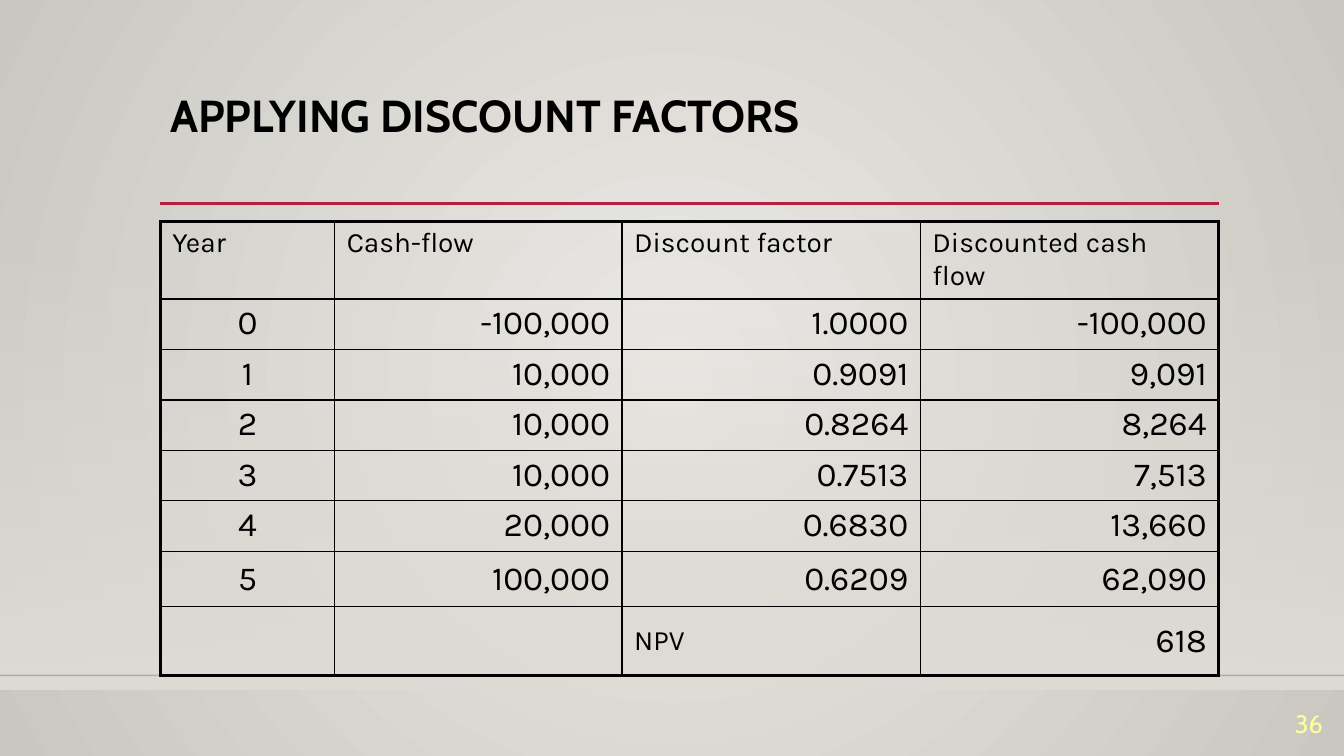
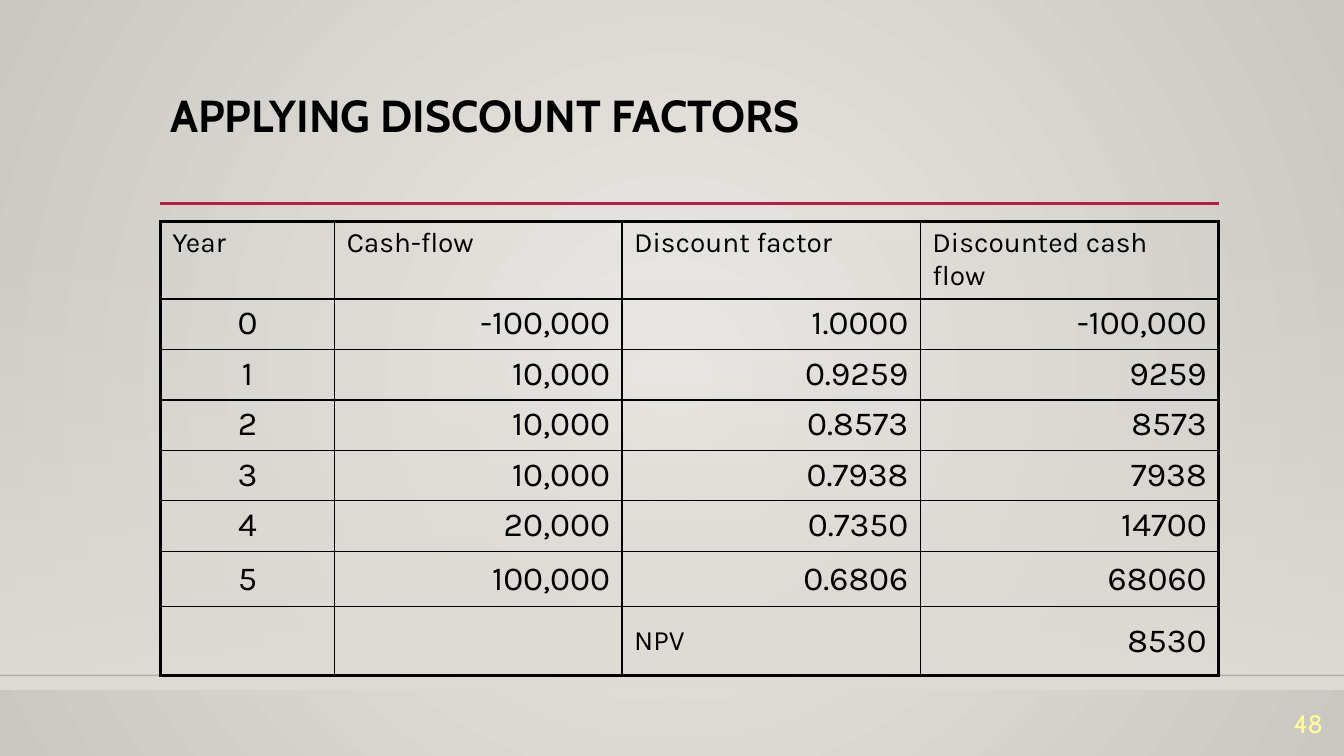
from lxml.etree import SubElement
from pptx import Presentation
from pptx.dml.color import RGBColor
from pptx.enum.shapes import MSO_CONNECTOR, MSO_SHAPE
from pptx.enum.text import MSO_ANCHOR, PP_ALIGN
from pptx.oxml.ns import qn
from pptx.util import Inches, Pt

BLACK = "000000"
SAND = "DFDBD5"
CRIMSON = "B71E42"
PALE_YELLOW = "FFFF99"
BACKDROP = ("ECEAE7", "CAC7C1")
TITLE_FONT, TABLE_FONT = "Cabin", "Karla"
THIN, THICK = 1, 2.25

LEFT_MARGIN = 11.93
COLUMN_WIDTHS = (12.98, 21.38, 22.2, 22.2)
ROW_HEIGHTS = (8.53, 6.53, 6.27, 6.27, 6.27, 6.27, 7.33, 9.07)
CONTENT_WIDTH = sum(COLUMN_WIDTHS)

HEADINGS = ("Year", "Cash-flow", "Discount factor", "Discounted cash flow")
CASH_FLOWS = ("-100,000", "10,000", "10,000", "10,000", "20,000", "100,000")
SCENARIOS = (
    {
        "number": "36",
        "factors": ("1.0000", "0.9091", "0.8264", "0.7513", "0.6830", "0.6209"),
        "discounted": ("-100,000", "9,091", "8,264", "7,513", "13,660", "62,090"),
        "npv": "618",
    },
    {
        "number": "48",
        "factors": ("1.0000", "0.9259", "0.8573", "0.7938", "0.7350", "0.6806"),
        "discounted": ("-100,000", "9259", "8573", "7938", "14700", "68060"),
        "npv": "8530",
    },
)

deck = Presentation()
deck.slide_width = Inches(13.33)
deck.slide_height = Inches(7.5)


def colour(code):
    return RGBColor.from_string(code)


def grid(*percentages):
    sides = (deck.slide_width, deck.slide_height) * 2
    return [round(side * share / 100) for side, share in zip(sides, percentages)]


master = deck.slide_master
backdrop = master.background.fill
backdrop.gradient()
for stop, code in zip(backdrop.gradient_stops, BACKDROP):
    stop.color.rgb = colour(code)
linear = master.element.find(".//" + qn("a:lin"))
gradient = linear.getparent()
gradient.remove(linear)
circle = SubElement(gradient, qn("a:path"), path="circle")
SubElement(circle, qn("a:fillToRect"), l="50000", t="50000", r="50000", b="50000")

for scenario in SCENARIOS:
    page = deck.slides.add_slide(deck.slide_layouts[6])

    band = page.shapes.add_shape(MSO_SHAPE.RECTANGLE, *grid(0, 31.33, 100, 59.87))
    band.shadow.inherit = False
    band.line.fill.background()
    band.fill.gradient()
    band.fill.gradient_angle = 270
    for stop in band.fill.gradient_stops:
        stop.color.rgb = colour(SAND)

    lines = []
    for start, end, height, code, weight in (
        (0, 100, 89.33, BLACK, 1),
        (LEFT_MARGIN, LEFT_MARGIN + CONTENT_WIDTH, 26.93, CRIMSON, 2.5),
    ):
        line = page.shapes.add_connector(
            MSO_CONNECTOR.STRAIGHT, *grid(start, height, end, height)
        )
        line.line.color.rgb = colour(code)
        line.line.width = Pt(weight)
        SubElement(line.element.spPr, qn("a:effectLst"))
        lines.append(line)

    for shape, opacity in ((band, 0), (lines[0], 20)):
        paint = shape.element.spPr.find(".//" + qn("a:srgbClr"))
        SubElement(paint, qn("a:alpha"), val=str(opacity * 1000))

    for text, area, size, code, bold, align, anchor in (
        ("APPLYING DISCOUNT FACTORS", (LEFT_MARGIN, 11.73, CONTENT_WIDTH, 15.33),
         32, BLACK, True, PP_ALIGN.LEFT, MSO_ANCHOR.TOP),
        (scenario["number"], (92.5, 93.2, 6.68, 5.6),
         18, PALE_YELLOW, False, PP_ALIGN.RIGHT, MSO_ANCHOR.MIDDLE),
    ):
        box = page.shapes.add_textbox(*grid(*area))
        box.text_frame.word_wrap = True
        box.text_frame.vertical_anchor = anchor
        para = box.text_frame.paragraphs[0]
        para.text = text
        para.alignment = align
        para.line_spacing = 0.9
        para.font.name = TITLE_FONT
        para.font.size = Pt(size)
        para.font.bold = bold
        para.font.color.rgb = colour(code)

    years = [str(year) for year in range(len(CASH_FLOWS))]
    records = [
        HEADINGS,
        *zip(years, CASH_FLOWS, scenario["factors"], scenario["discounted"]),
        ("", "", "NPV", scenario["npv"]),
    ]
    last_row, last_column = len(records) - 1, len(HEADINGS) - 1
    table = page.shapes.add_table(
        len(records), len(HEADINGS),
        *grid(LEFT_MARGIN, 29.33, CONTENT_WIDTH, sum(ROW_HEIGHTS)),
    ).table
    table.first_row = False
    table.horz_banding = False
    for column, share in zip(table.columns, COLUMN_WIDTHS):
        column.width = grid(share)[0]
    for row, share in zip(table.rows, ROW_HEIGHTS):
        row.height = grid(0, share)[1]

    for row_index, record in enumerate(records):
        for column_index, text in enumerate(record):
            cell = table.cell(row_index, column_index)
            cell.margin_left = cell.margin_right = Inches(0.12)
            cell.margin_top = cell.margin_bottom = Inches(0.05)
            if row_index >= last_row - 1:
                cell.vertical_anchor = MSO_ANCHOR.MIDDLE

            properties = cell._tc.get_or_add_tcPr()
            for side, outer in (
                ("L", column_index == 0),
                ("R", column_index == last_column),
                ("T", row_index == 0),
                ("B", row_index == last_row),
            ):
                width = Pt(THICK if outer else THIN)
                border = SubElement(properties, qn(f"a:ln{side}"), w=str(width))
                solid = SubElement(border, qn("a:solidFill"))
                SubElement(solid, qn("a:srgbClr"), val=BLACK)
            cell.fill.background()

            is_label = row_index == 0 or text == "NPV"
            para = cell.text_frame.paragraphs[0]
            para.text = text
            if not is_label:
                para.alignment = PP_ALIGN.RIGHT if column_index else PP_ALIGN.CENTER
            para.font.name = TABLE_FONT
            para.font.size = Pt(20 if is_label else 24)
            para.font.color.rgb = colour(BLACK)

deck.save("out.pptx")
